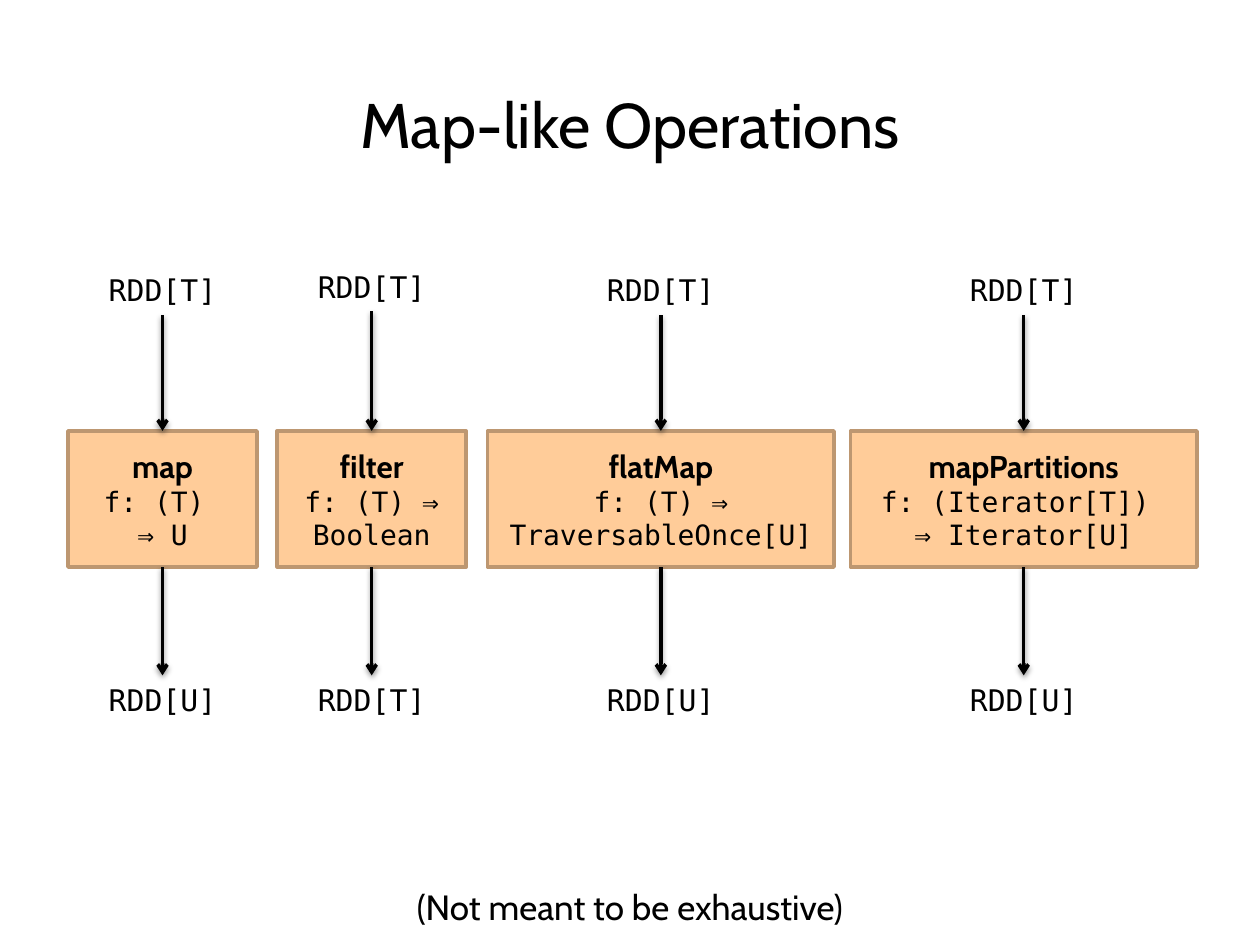
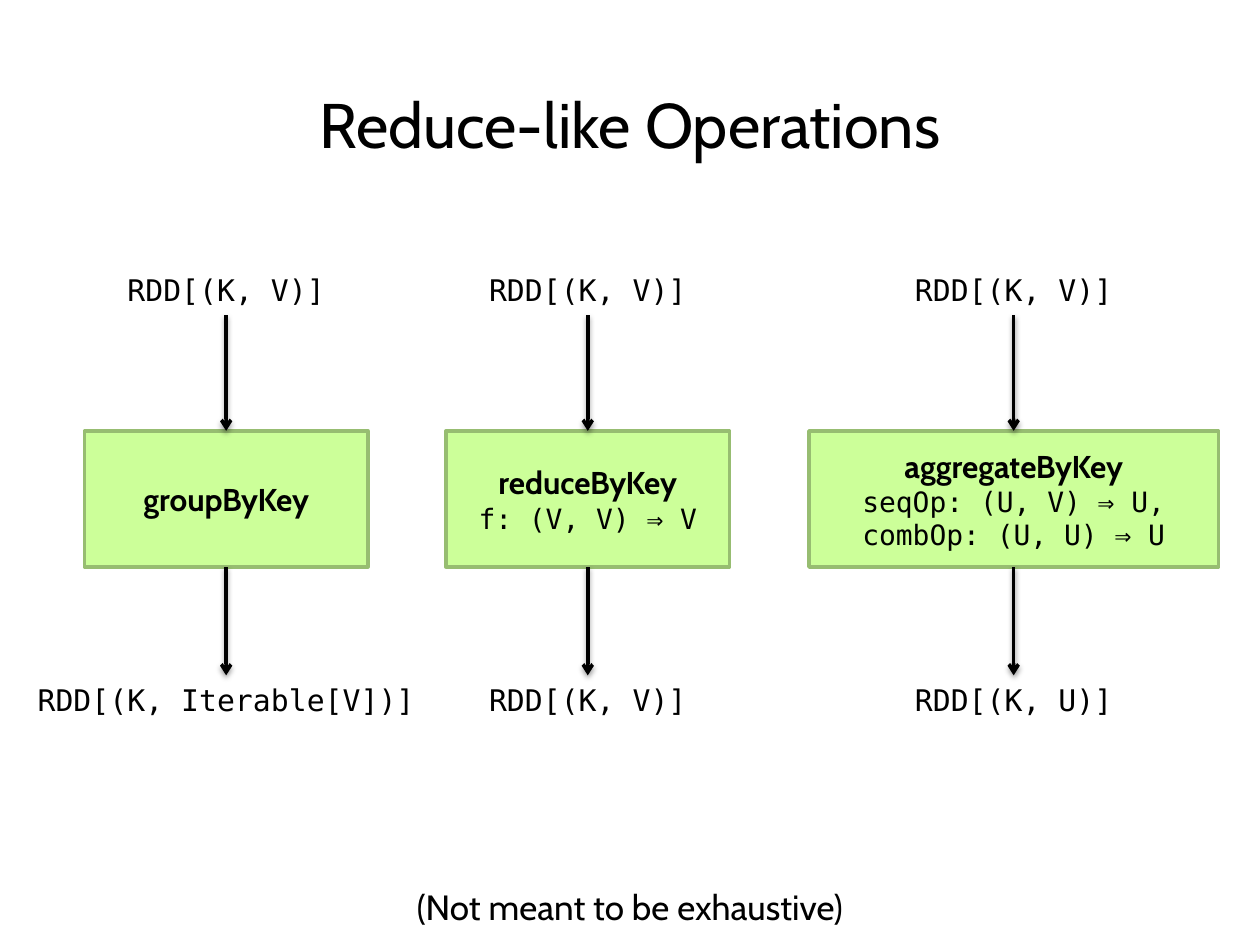
"""Build two slides that show map-like and reduce-like operations on RDDs."""
from copy import deepcopy

from lxml import etree
from pptx import Presentation
from pptx import util as u
from pptx.dml.color import RGBColor
from pptx.enum import shapes, text
from pptx.oxml.ns import qn

COLORS = {"ink": "000000", "orange": "FFCC99", "orange_edge": "BD9771",
          "green": "CCFF99", "green_edge": "97BD71"}
FORMATS = {
    "title": {"name": "Cabin", "size": u.Pt(36)},
    "footer": {"name": "Cabin", "size": u.Pt(20)},
    "operation": {"name": "Cabin", "size": u.Pt(18), "bold": True},
    "signature": {"name": "DejaVu Sans Mono", "size": u.Pt(16)},
    "type": {"name": "DejaVu Sans Mono", "size": u.Pt(17)},
}
BOX_TOP, BOX_HEIGHT = 3.42, 1.08
INPUT_TOP, OUTPUT_TOP, LABEL_HEIGHT = 2.11, 5.36, 0.39
TOP, BOTTOM = 0, 2


class Slides:
    """Hold the deck style and the current page."""

    def __init__(self):
        self.deck = Presentation()
        self.deck.slide_width = u.Inches(10)
        self.deck.slide_height = u.Inches(7.5)
        self.page = None

    def color(self, name):
        return RGBColor.from_string(COLORS[name])

    def set_lines(self, frame, lines, anchor):
        frame.word_wrap = True
        frame.vertical_anchor = anchor
        for index, (words, style) in enumerate(lines):
            para = frame.add_paragraph() if index else frame.paragraphs[0]
            para.text = words
            para.alignment = text.PP_ALIGN.CENTER
            for span in para.runs:
                for key, value in FORMATS[style].items():
                    setattr(span.font, key, value)
                span.font.color.rgb = self.color("ink")
            for line_break in para._p.findall(qn("a:br")):
                line_break.append(deepcopy(para._p.find(qn("a:r")).rPr))

    def label(self, words, style, left, top, width, height, anchor=text.MSO_ANCHOR.TOP):
        box = self.page.shapes.add_textbox(*map(u.Inches, (left, top, width, height)))
        self.set_lines(box.text_frame, [(words, style)], anchor)
        return box

    def type_label(self, words, center, top):
        width = 0.2 + 0.16 * len(words)
        return self.label(words, "type", center - width / 2, top, width, LABEL_HEIGHT)

    def operation_box(self, lines, left, width, fill):
        box = self.page.shapes.add_shape(
            shapes.MSO_SHAPE.RECTANGLE,
            *map(u.Inches, (left, BOX_TOP, width, BOX_HEIGHT)))
        box.shadow.inherit = False
        box.fill.solid()
        box.fill.fore_color.rgb = self.color(fill)
        box.line.color.rgb = self.color(fill + "_edge")
        box.line.width = u.Pt(2)
        self.set_lines(box.text_frame, lines, text.MSO_ANCHOR.MIDDLE)
        return box

    def arrow(self, source, target):
        link = self.page.shapes.add_connector(shapes.MSO_CONNECTOR.STRAIGHT, 0, 0, 0, 0)
        link.begin_connect(source, BOTTOM)
        link.end_connect(target, TOP)
        link.line.color.rgb = self.color("ink")
        link.line.width = u.Pt(2)
        properties = link._element.spPr
        etree.SubElement(properties.find(qn("a:ln")), qn("a:tailEnd"), type="arrow")
        effects = etree.SubElement(properties, qn("a:effectLst"))
        shadow = etree.SubElement(effects, qn("a:outerShdw"), blurRad=str(u.Pt(3.1)),
                                  dist=str(u.Pt(1.6)), dir="5400000", rotWithShape="0")
        tint = etree.SubElement(shadow, qn("a:srgbClr"), val=COLORS["ink"])
        etree.SubElement(tint, qn("a:alpha"), val="38000")

    def operation(self, fill, left, width, name, signature, source, result, lift=0):
        lines = [(name, "operation")]
        if signature:
            lines.append((signature, "signature"))
        center = left + width / 2
        box = self.operation_box(lines, left, width, fill)
        self.arrow(self.type_label(source, center, INPUT_TOP - lift), box)
        self.arrow(box, self.type_label(result, center, OUTPUT_TOP))

    def add_page(self, title, fill, operations):
        self.page = self.deck.slides.add_slide(self.deck.slide_layouts[6])
        for operation in operations:
            self.operation(fill, *operation)
        self.label("(Not meant to be exhaustive)", "footer", 0, 6.98, 10, 0.44)
        self.label(title, "title", 0, 0.6, 10, 0.75, text.MSO_ANCHOR.MIDDLE)


MAP_LIKE = [
    (0.54, 1.5, "map", "f: (T) \v⇒ U", "RDD[T]", "RDD[U]"),
    (2.2, 1.5, "filter", "f: (T) ⇒ Boolean", "RDD[T]", "RDD[T]", 0.03),
    (3.87, 2.75, "flatMap", "f: (T) ⇒ TraversableOnce[U]", "RDD[T]", "RDD[U]"),
    (6.75, 2.75, "mapPartitions", "f: (Iterator[T]) \v⇒ Iterator[U]", "RDD[T]", "RDD[U]"),
]
REDUCE_LIKE = [
    (0.67, 2.25, "groupByKey", "", "RDD[(K, V)]", "RDD[(K, Iterable[V])]"),
    (3.54, 2.25, "reduceByKey", "f: (V, V) ⇒ V", "RDD[(K, V)]", "RDD[(K, V)]"),
    (6.42, 3.25, "aggregateByKey", "seqOp: (U, V) ⇒ U, combOp: (U, U) ⇒ U",
     "RDD[(K, V)]", "RDD[(K, U)]"),
]


def main():
    slides = Slides()
    slides.add_page("Map-like Operations", "orange", MAP_LIKE)
    slides.add_page("Reduce-like Operations", "green", REDUCE_LIKE)
    slides.deck.save("out.pptx")


if __name__ == "__main__":
    main()
